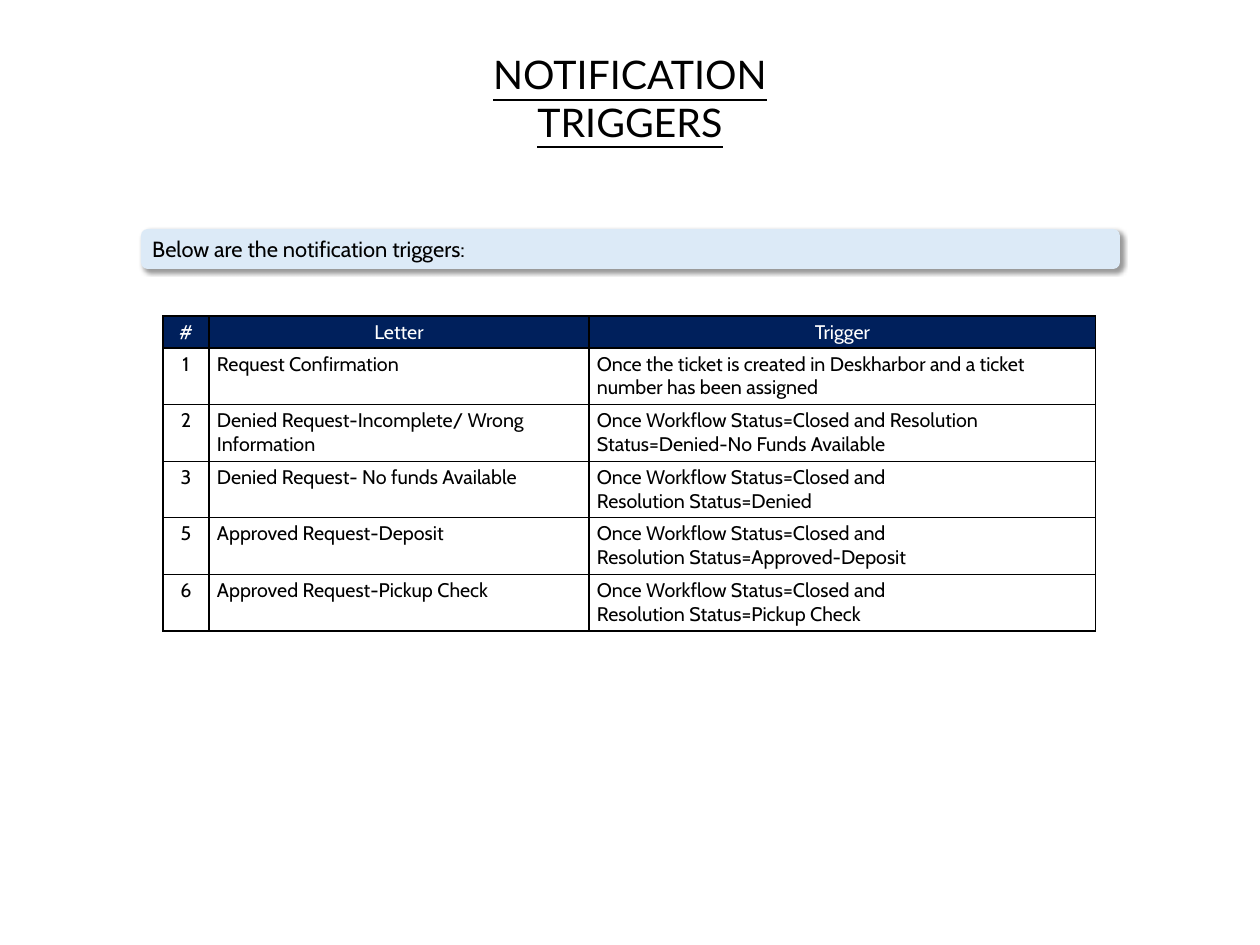
from pptx import Presentation
from pptx.dml.color import RGBColor
from pptx.enum.shapes import MSO_SHAPE as Shape
from pptx.enum.text import MSO_ANCHOR as Anchor, PP_ALIGN as Align
from pptx.oxml import parse_xml
from pptx.oxml.ns import nsdecls
from pptx.util import Pt

BLACK = RGBColor(0x00, 0x00, 0x00)
WHITE = RGBColor(0xFF, 0xFF, 0xFF)
NAVY = RGBColor(0x00, 0x20, 0x5C)
PALE = RGBColor(0xDC, 0xEA, 0xF7)

TITLE = "NOTIFICATION TRIGGERS"
INTRO = "Below are the notification triggers:"
CLOSED = "Once Workflow Status=Closed and"
ROWS = [
    ("#", "Letter", "Trigger"),
    ("1", "Request Confirmation",
     "Once the ticket is created in Deskharbor and a ticket number has been assigned"),
    ("2", "Denied Request-Incomplete/ Wrong Information",
     f"{CLOSED} Resolution Status=Denied-No Funds Available"),
    ("3", "Denied Request- No funds Available",
     f"{CLOSED}\nResolution Status=Denied"),
    ("5", "Approved Request-Deposit",
     f"{CLOSED}\nResolution Status=Approved-Deposit"),
    ("6", "Approved Request-Pickup Check",
     f"{CLOSED}\nResolution Status=Pickup Check"),
]
COLS = (46, 380, 507)
HEAD, HIGH = 32, 315
EDGES = ("lnL", "lnR", "lnT", "lnB")


def px(n):
    return round(n * 914400 / 94.5)


def write(frame, text, size, font="Cabin", color=BLACK, align=Align.LEFT, line=None):
    frame.word_wrap = True
    for i, part in enumerate(text.split("\n")):
        para = frame.add_paragraph() if i else frame.paragraphs[0]
        para.alignment = align
        run = para.add_run()
        run.text = part
        run.font.size = Pt(size)
        run.font.name = font
        run.font.color.rgb = color
        run.font.underline = line


def shade(shape):
    shape._element.spPr.append(parse_xml(
        f'<a:effectLst {nsdecls("a")}><a:outerShdw blurRad="{Pt(4)}" dist="{Pt(3)}" '
        'dir="2700000" algn="tl" rotWithShape="0"><a:srgbClr val="000000">'
        '<a:alpha val="40000"/></a:srgbClr></a:outerShdw></a:effectLst>'))


def rule(cell):
    for edge in EDGES:
        cell._tc.get_or_add_tcPr().append(parse_xml(
            f'<a:{edge} {nsdecls("a")} w="{Pt(1)}"><a:solidFill>'
            f'<a:srgbClr val="{BLACK}"/></a:solidFill></a:{edge}>'))


def grid(slide):
    frame = slide.shapes.add_table(
        len(ROWS), len(COLS), px(163), px(316), px(sum(COLS)), px(HIGH))
    table = frame.table
    table.first_row = table.horz_banding = False
    for col, wide in zip(table.columns, COLS):
        col.width = px(wide)
    for r, row in enumerate(ROWS):
        table.rows[r].height = px((HIGH - HEAD) / (len(ROWS) - 1) if r else HEAD)
        for c, text in enumerate(row):
            cell = table.cell(r, c)
            cell.margin_left = cell.margin_right = px(8)
            cell.margin_top = cell.margin_bottom = px(4)
            rule(cell)
            if r:
                cell.fill.background()
            else:
                cell.fill.solid()
                cell.fill.fore_color.rgb = NAVY
            write(cell.text_frame, text, 15, color=BLACK if r else WHITE,
                  align=Align.LEFT if r and c else Align.CENTER)


def main():
    """Build the notification triggers slide."""
    deck = Presentation()
    deck.slide_width, deck.slide_height = px(1260), px(945)
    slide = deck.slides.add_slide(deck.slide_layouts[6])

    title = slide.shapes.add_textbox(px(431), px(46), px(398), px(58))
    write(title.text_frame, TITLE, 30, font="Lato", align=Align.CENTER, line=True)

    bar = slide.shapes.add_shape(
        Shape.ROUNDED_RECTANGLE, px(141), px(229), px(979), px(40))
    bar.fill.solid()
    bar.fill.fore_color.rgb = PALE
    bar.line.fill.background()
    shade(bar)
    bar.text_frame.vertical_anchor = Anchor.MIDDLE
    write(bar.text_frame, INTRO, 16.7)

    grid(slide)
    deck.save("out.pptx")


if __name__ == "__main__":
    main()
